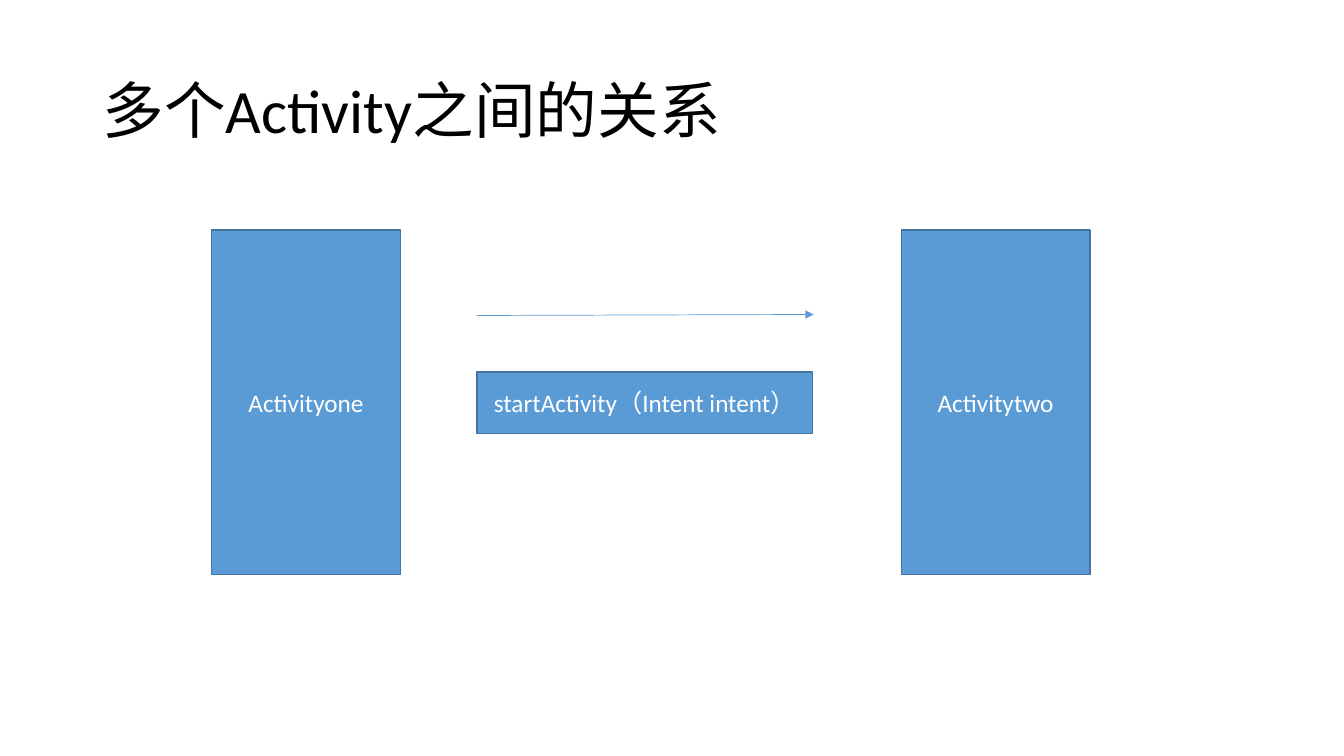
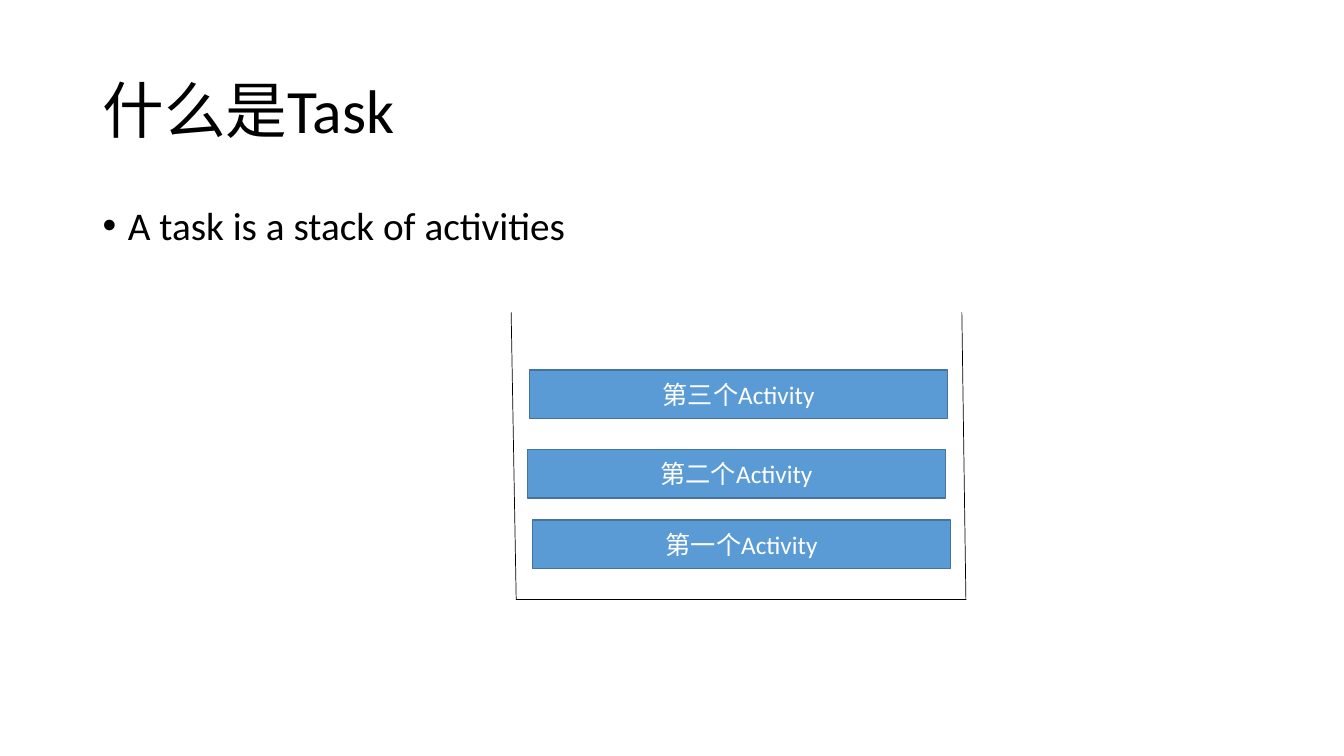
"""Build two slides on activities and the task stack."""
from lxml.etree import SubElement
from pptx import Presentation
from pptx.dml.color import RGBColor
from pptx.enum.shapes import MSO_CONNECTOR, MSO_SHAPE
from pptx.enum.text import MSO_ANCHOR, PP_ALIGN
from pptx.oxml.ns import qn
from pptx.util import Inches, Pt

FONT = "Calibri"
BLACK, WHITE, BLUE, EDGE = "000000", "FFFFFF", "5B9BD5", "43739E"
TITLE_AREA = (0.92, 0.4, 11.5, 1.45)
BODY_AREA = (0.92, 2, 11.5, 4.76)

RELATION_TITLE = "多个Activity之间的关系"
ACTIVITIES = [("Activityone", 2.1), ("Activitytwo", 8.94)]
ACTIVITY_TOP, ACTIVITY_WIDTH, ACTIVITY_HEIGHT = 2.28, 1.87, 3.42
CALL = ("startActivity（Intent intent）", (4.73, 3.69, 3.33, 0.61))
CALL_ARROW = ((4.73, 3.13), (8.07, 3.12))

TASK_TITLE = "什么是Task"
TASK_DEFINITION = "A task is a stack of activities"
STACK = [("第一个Activity", 5.28, 5.16), ("第二个Activity", 5.23, 4.46),
         ("第三个Activity", 5.25, 3.67)]
STACK_SIZE = (4.15, 0.48)
CONTAINER = [(5.07, 3.1), (5.12, 5.95), (9.58, 5.95), (9.54, 3.1)]


def color(value):
    return RGBColor.from_string(value)


def write(shape, text, size, ink, anchor, align=PP_ALIGN.LEFT):
    frame = shape.text_frame
    frame.text = text
    frame.word_wrap = True
    frame.vertical_anchor = anchor
    para = frame.paragraphs[0]
    para.alignment = align
    font = para.runs[0].font
    font.name, font.size = FONT, Pt(size)
    font.color.rgb = color(ink)
    return para


def add_text(page, text, area, size, anchor):
    box = page.shapes.add_textbox(*map(Inches, area))
    para = write(box, text, size, BLACK, anchor)
    para.line_spacing = 0.9
    return para


def add_page(deck, title):
    page = deck.slides.add_slide(deck.slide_layouts[6])
    add_text(page, title, TITLE_AREA, 44, MSO_ANCHOR.MIDDLE)
    return page


def add_bullet(page, text):
    para = add_text(page, text, BODY_AREA, 28, MSO_ANCHOR.TOP)
    para.space_before = Pt(10)
    properties = para._p.get_or_add_pPr()
    properties.set("marL", str(Inches(0.25)))
    properties.set("indent", str(Inches(-0.25)))
    SubElement(properties, qn("a:buFont")).set("typeface", "Arial")
    SubElement(properties, qn("a:buChar")).set("char", "•")


def add_block(page, text, area):
    block = page.shapes.add_shape(MSO_SHAPE.RECTANGLE, *map(Inches, area))
    block.shadow.inherit = False
    block.fill.solid()
    block.fill.fore_color.rgb = color(BLUE)
    block.line.color.rgb = color(EDGE)
    block.line.width = Pt(1)
    write(block, text, 18, WHITE, MSO_ANCHOR.MIDDLE, PP_ALIGN.CENTER)


def add_line(page, start, end, ink, arrow=False):
    line = page.shapes.add_connector(MSO_CONNECTOR.STRAIGHT, *map(Inches, start + end))
    line.line.color.rgb = color(ink)
    line.line.width = Pt(0.5)
    if arrow:
        SubElement(line.line._get_or_add_ln(), qn("a:tailEnd")).set("type", "triangle")
    SubElement(line._element.spPr, qn("a:effectLst"))


def build_relation(deck):
    page = add_page(deck, RELATION_TITLE)
    for name, left in ACTIVITIES:
        add_block(page, name, (left, ACTIVITY_TOP, ACTIVITY_WIDTH, ACTIVITY_HEIGHT))
    add_block(page, *CALL)
    add_line(page, *CALL_ARROW, BLUE, arrow=True)


def build_task(deck):
    page = add_page(deck, TASK_TITLE)
    add_bullet(page, TASK_DEFINITION)
    for start, end in zip(CONTAINER, CONTAINER[1:]):
        add_line(page, start, end, BLACK)
    for name, left, top in STACK:
        add_block(page, name, (left, top, *STACK_SIZE))


deck = Presentation()
deck.slide_width, deck.slide_height = Inches(13.33), Inches(7.5)
build_relation(deck)
build_task(deck)
deck.save("out.pptx")
